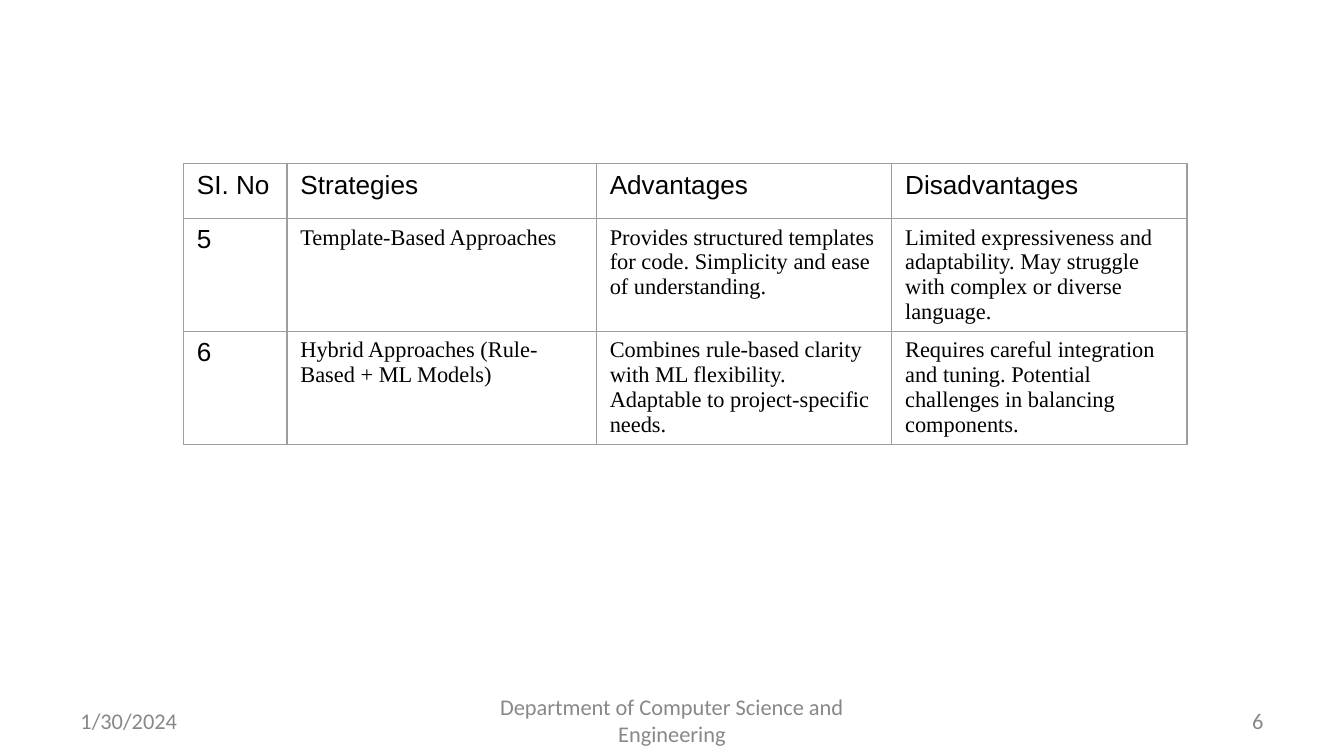
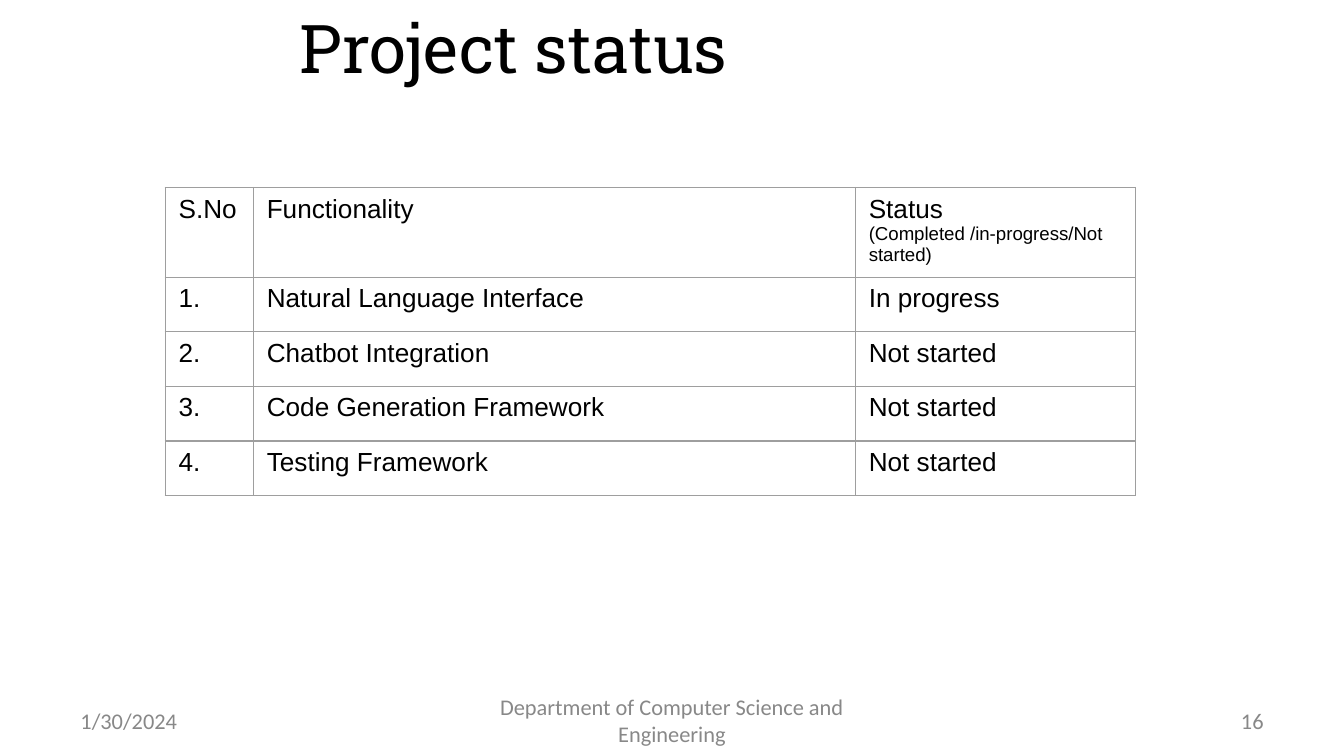
"""Build two slides: a table of strategies and a table of project status."""
from dataclasses import dataclass

from lxml import etree
from pptx import Presentation
from pptx.dml.color import RGBColor
from pptx.enum.text import MSO_ANCHOR, PP_ALIGN
from pptx.oxml.ns import qn
from pptx.util import Pt

PX = 9525
LEFT, CENTER, RIGHT = PP_ALIGN.LEFT, PP_ALIGN.CENTER, PP_ALIGN.RIGHT
MIDDLE = MSO_ANCHOR.MIDDLE
BLANK_LAYOUT = 6
ROW_HEIGHT = 39
FOOTER_TOP, FOOTER_HEIGHT = 500, 29


@dataclass(frozen=True)
class Theme:
    ink: str = "000000"
    footer_gray: str = "888888"
    border_gray: str = "9E9E9E"
    title: tuple = ("Roboto Slab", 36)
    footer: tuple = ("Calibri", 12)
    cell: tuple = ("Arial", 14)
    detail: tuple = ("Times New Roman", 12)
    hint: tuple = ("Arial", 10)
    border_width: float = 0.75


THEME = Theme()


def write_paragraph(paragraph, text, style, color, alignment=LEFT):
    paragraph.alignment = alignment
    run = paragraph.add_run()
    run.text = text
    name, size = style
    for attribute, value in {"name": name, "size": Pt(size), "bold": False}.items():
        setattr(run.font, attribute, value)
    run.font.color.rgb = RGBColor.from_string(color)


def add_label(slide, box, text, style, color, alignment):
    shape = slide.shapes.add_textbox(*(length * PX for length in box))
    frame = shape.text_frame
    for attribute, value in {"word_wrap": True, "vertical_anchor": MIDDLE}.items():
        setattr(frame, attribute, value)
    write_paragraph(frame.paragraphs[0], text, style, color, alignment)


slides = [
    {
        "number": "6",
        "title": None,
        "corner": (131, 117),
        "columns": (74, 221, 211, 211),
        "body": THEME.detail,
        "rows": [
            ("SI. No", "Strategies", "Advantages", "Disadvantages"),
            (
                "5",
                "Template-Based Approaches",
                "Provides structured templates for code. Simplicity and ease of understanding.",
                "Limited expressiveness and adaptability. May struggle with complex or diverse language.",
            ),
            (
                "6",
                "Hybrid Approaches (Rule-Based + ML Models)",
                "Combines rule-based clarity with ML flexibility. Adaptable to project-specific needs.",
                "Requires careful integration and tuning. Potential challenges in balancing components.",
            ),
        ],
    },
    {
        "number": "16",
        "title": "Project status",
        "corner": (118, 134),
        "columns": (63, 430, 200),
        "body": THEME.cell,
        "rows": [
            ("S.No", "Functionality", "Status\n(Completed /in-progress/Not started)"),
            ("1.", "Natural Language Interface", "In progress"),
            ("2.", "Chatbot Integration", "Not started"),
            ("3.", "Code Generation Framework", "Not started"),
            ("4.", "Testing Framework", "Not started"),
        ],
    },
]

presentation = Presentation()
presentation.slide_width = 960 * PX
presentation.slide_height = 540 * PX

for content in slides:
    slide = presentation.slides.add_slide(presentation.slide_layouts[BLANK_LAYOUT])

    if content["title"]:
        add_label(slide, (46, 0, 642, 66), content["title"], THEME.title, THEME.ink, CENTER)

    rows, columns = content["rows"], content["columns"]
    box = (*content["corner"], sum(columns), ROW_HEIGHT * len(rows))
    table_shape = slide.shapes.add_table(len(rows), len(columns), *(length * PX for length in box))
    table = table_shape.table
    for attribute in ("first_row", "horz_banding"):
        setattr(table, attribute, False)
    for column, width in zip(table.columns, columns):
        column.width = width * PX

    for row_index, texts in enumerate(rows):
        for column_index, text in enumerate(texts):
            cell = table.cell(row_index, column_index)
            style = content["body"] if row_index and column_index else THEME.cell
            main_text, *hints = text.split("\n")
            write_paragraph(cell.text_frame.paragraphs[0], main_text, style, THEME.ink)
            for hint in hints:
                write_paragraph(cell.text_frame.add_paragraph(), hint, THEME.hint, THEME.ink)

            properties = cell._tc.get_or_add_tcPr()
            for side in ("a:lnL", "a:lnR", "a:lnT", "a:lnB"):
                line = etree.SubElement(properties, qn(side), w=str(Pt(THEME.border_width)))
                fill = etree.SubElement(line, qn("a:solidFill"))
                etree.SubElement(fill, qn("a:srgbClr"), val=THEME.border_gray)
            cell.fill.background()

    footers = [
        (48, 224, "1/30/2024", LEFT),
        (328, 304, "Department of Computer Science and Engineering", CENTER),
        (688, 224, content["number"], RIGHT),
    ]
    for left, width, text, alignment in footers:
        footer_box = (left, FOOTER_TOP, width, FOOTER_HEIGHT)
        add_label(slide, footer_box, text, THEME.footer, THEME.footer_gray, alignment)

presentation.save("out.pptx")
